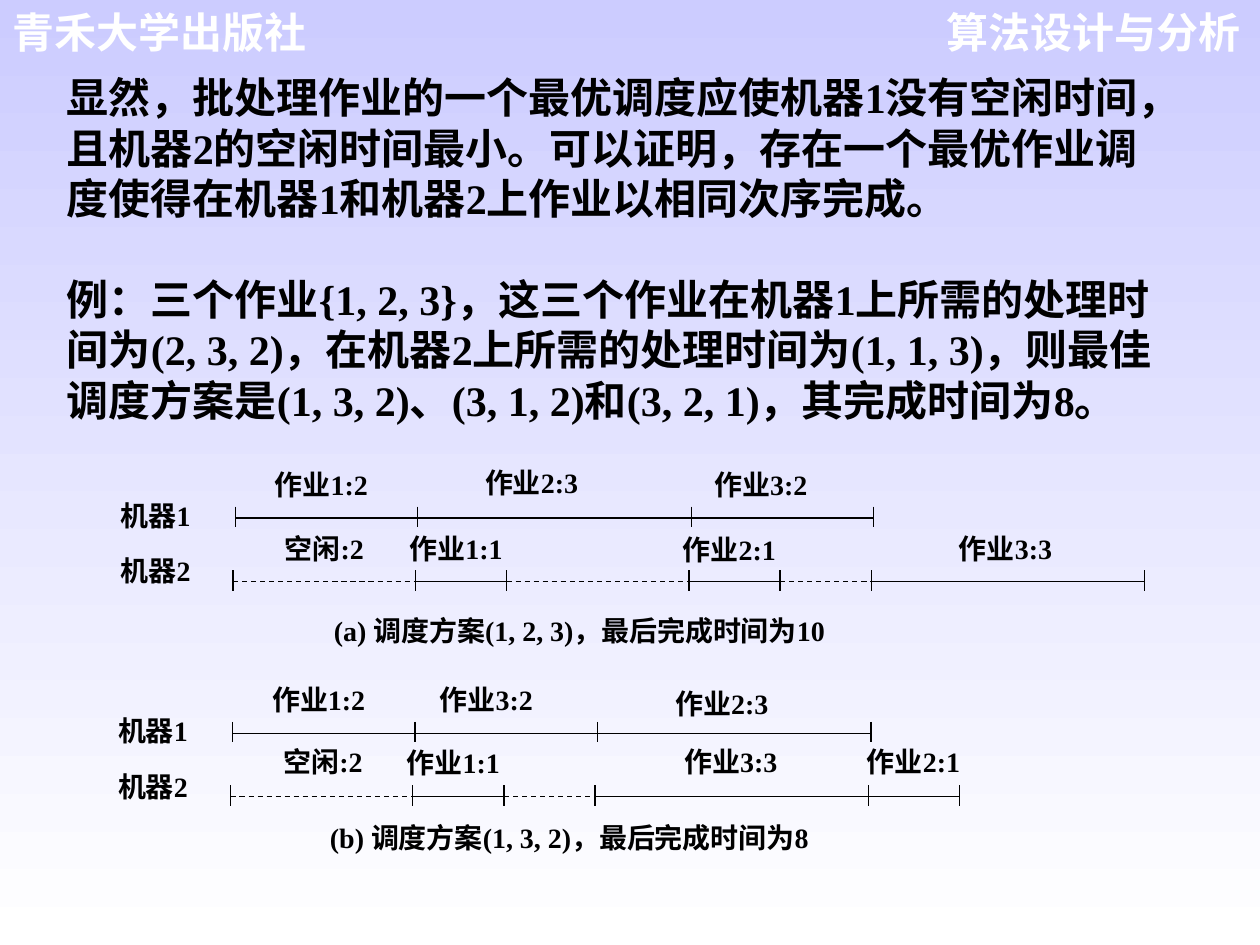
from lxml import etree
from pptx import Presentation
from pptx.dml.color import RGBColor
from pptx.enum import dml, shapes, text
from pptx.oxml import ns
from pptx.util import Pt

COLORS = {"sky": "CCCCFF", "white": "FFFFFF", "black": "000000"}
UNIT = 52.1  # length of one unit of processing time
BAR_Y = (26, 62.3)
AXIS_X = (65.5, 64.2)
MACHINE_Y = (18.7, 50.2)

PARAGRAPHS = [
    "显然，批处理作业的一个最优调度应使机器1没有空闲时间，且机器2的空闲时间最小。"
    "可以证明，存在一个最优作业调度使得在机器1和机器2上作业以相同次序完成。",
    "例：三个作业{1, 2, 3}，这三个作业在机器1上所需的处理时间为(2, 3, 2)，"
    "在机器2上所需的处理时间为(1, 1, 3)，则最佳调度方案是(1, 3, 2)、(3, 1, 2)和(3, 2, 1)，"
    "其完成时间为8。",
]

# Per machine: segments (duration, busy) and labels (wording, left, top, width)
SCHEDULES = [
    {
        "origin": (69, 270),
        "caption": ("(a) 调度方案(1, 2, 3)，最后完成时间为10", 121.8, 84.2, 302),
        "segments": [
            [(2, True), (3, True), (2, True)],
            [(2, False), (1, True), (2, False), (1, True), (1, False), (3, True)],
        ],
        "labels": [
            ("作业1:2", 88, 0.7, 59), ("作业2:3", 208.2, 0, 76), ("作业3:2", 339.2, 0.7, 76),
            ("空闲:2", 93.7, 37.4, 52), ("作业1:1", 165, 37.4, 60),
            ("作业2:1", 321.2, 38.2, 60), ("作业3:3", 479, 37.4, 65.5),
        ],
    },
    {
        "origin": (67.5, 393),
        "caption": ("(b) 调度方案(1, 3, 2)，最后完成时间为8", 121.1, 79.3, 302),
        "segments": [
            [(2, True), (2, True), (3, True)],
            [(2, False), (1, True), (1, False), (3, True), (1, True)],
        ],
        "labels": [
            ("作业1:2", 88, 0.8, 59), ("作业3:2", 183.8, 0.8, 76), ("作业2:3", 318.4, 3, 76),
            ("空闲:2", 94.5, 36, 52), ("作业1:1", 165, 36.8, 60),
            ("作业3:3", 323.5, 36, 65.5), ("作业2:1", 427.9, 36, 60),
        ],
    },
]


def rgb(name):
    return RGBColor.from_string(COLORS[name])


def place(shape, box):
    shape.left, shape.top, shape.width, shape.height = (Pt(v) for v in box)


def add_run(paragraph, wording, size, font, color):
    run = paragraph.add_run()
    run.text = wording
    run.font.size = Pt(size)
    run.font.name = font
    run.font.bold = True
    run.font.color.rgb = rgb(color)


def add_line(parts, x1, y1, x2, y2, dashed=False):
    line = parts.add_connector(shapes.MSO_CONNECTOR.STRAIGHT, Pt(x1), Pt(y1), Pt(x2), Pt(y2))
    line.line.color.rgb = rgb("black")
    line.line.width = Pt(0.75)
    if dashed:
        line.line.dash_style = dml.MSO_LINE.DASH
    etree.SubElement(line._element.spPr, ns.qn("a:effectLst"))


def add_label(parts, wording, left, top, width):
    label = parts.add_textbox(Pt(left), Pt(top), Pt(width), Pt(18))
    frame = label.text_frame
    frame.word_wrap = True
    frame.margin_left = frame.margin_right = frame.margin_top = frame.margin_bottom = 0
    paragraph = frame.paragraphs[0]
    paragraph.alignment = text.PP_ALIGN.JUSTIFY
    paragraph.line_spacing = 0.8
    add_run(paragraph, wording, 16, "Times New Roman", "black")


def fill_header(header, box, wording, align):
    place(header, box)
    frame = header.text_frame
    frame.word_wrap = True
    frame.auto_size = text.MSO_AUTO_SIZE.NONE
    frame.vertical_anchor = text.MSO_ANCHOR.TOP
    paragraph = frame.paragraphs[0]
    paragraph.alignment = align
    add_run(paragraph, wording, 24, "Arial", "white")


def fill_body(body, box):
    place(body, box)
    frame = body.text_frame
    frame.auto_size = text.MSO_AUTO_SIZE.NONE
    for index, wording in enumerate(PARAGRAPHS):
        paragraph = frame.add_paragraph() if index else frame.paragraphs[0]
        paragraph.space_before = Pt(28.75 if index else 0)
        properties = paragraph._p.get_or_add_pPr()
        properties.set("marL", "0")
        properties.set("indent", "0")
        etree.SubElement(properties, ns.qn("a:buNone"))
        add_run(paragraph, wording, 24, "Times New Roman", "black")


def add_timeline(parts, x, y, segments):
    """Draw a tick at each change of job and a line for each span, dashed when idle."""
    add_line(parts, x, y - 6.5, x, y + 5.2)
    for duration, busy in segments:
        end = x + duration * UNIT
        add_line(parts, x, y, end, y, dashed=not busy)
        add_line(parts, end, y - 6.5, end, y + 5.2)
        x = end


def add_schedule(slide, schedule):
    x, y = schedule["origin"]
    parts = slide.shapes.add_group_shape().shapes
    for row, segments in enumerate(schedule["segments"]):
        add_timeline(parts, x + AXIS_X[row], y + BAR_Y[row], segments)
        add_label(parts, f"机器{row + 1}", x, y + MACHINE_Y[row], 50)
    for wording, left, top, width in schedule["labels"] + [schedule["caption"]]:
        add_label(parts, wording, x + left, y + top, width)


def main():
    deck = Presentation()
    deck.slide_width, deck.slide_height = Pt(720), Pt(540)
    slide = deck.slides.add_slide(deck.slide_layouts[1])

    backdrop = slide.background.fill
    backdrop.gradient()
    backdrop.gradient_angle = 270
    for stop, position, color in zip(backdrop.gradient_stops, (0, 1), ("sky", "white")):
        stop.position = position
        stop.color.rgb = rgb(color)

    fill_header(slide.shapes.title, (521, 0, 195, 36), "算法设计与分析", text.PP_ALIGN.RIGHT)
    publisher = slide.shapes.add_textbox(0, 0, 0, 0)
    fill_header(publisher, (0, 0, 195, 36), "青禾大学出版社", text.PP_ALIGN.LEFT)
    fill_body(slide.placeholders[1], (31, 37.5, 648, 237.5))
    for schedule in SCHEDULES:
        add_schedule(slide, schedule)
    deck.save("out.pptx")


if __name__ == "__main__":
    main()
